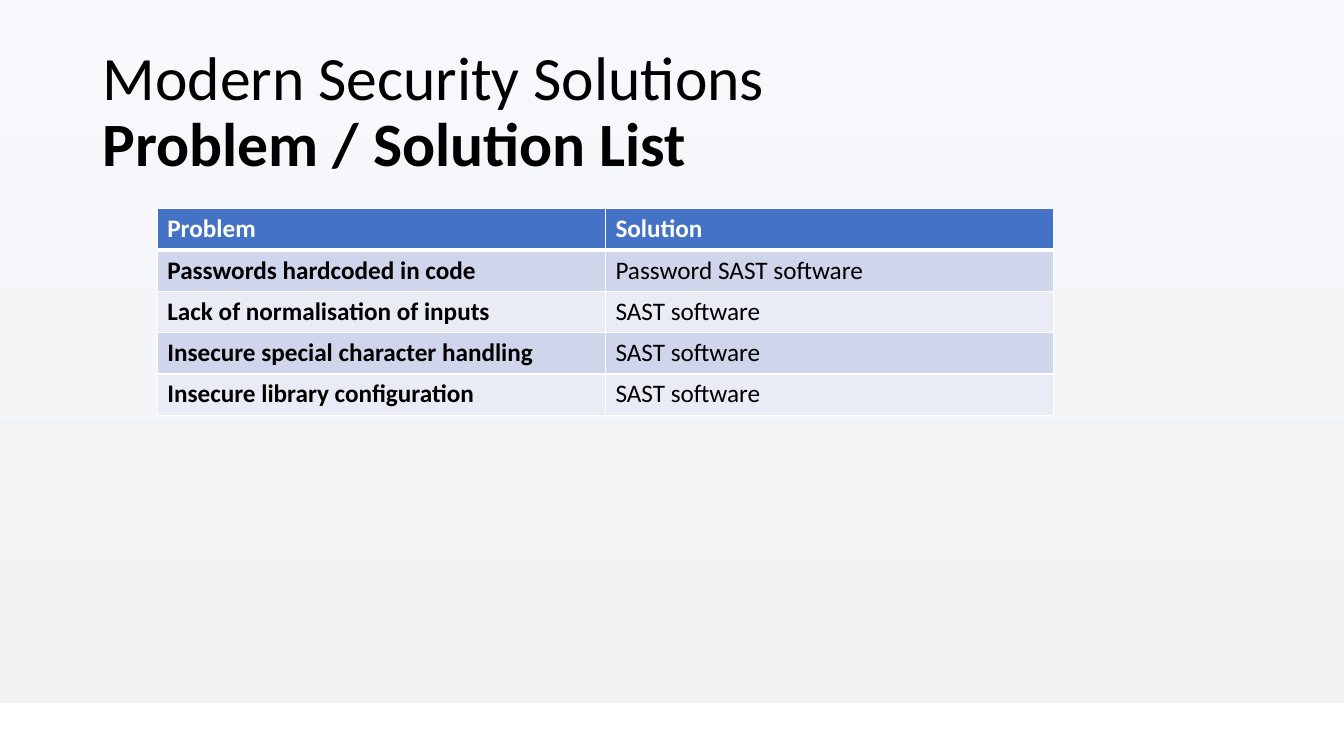
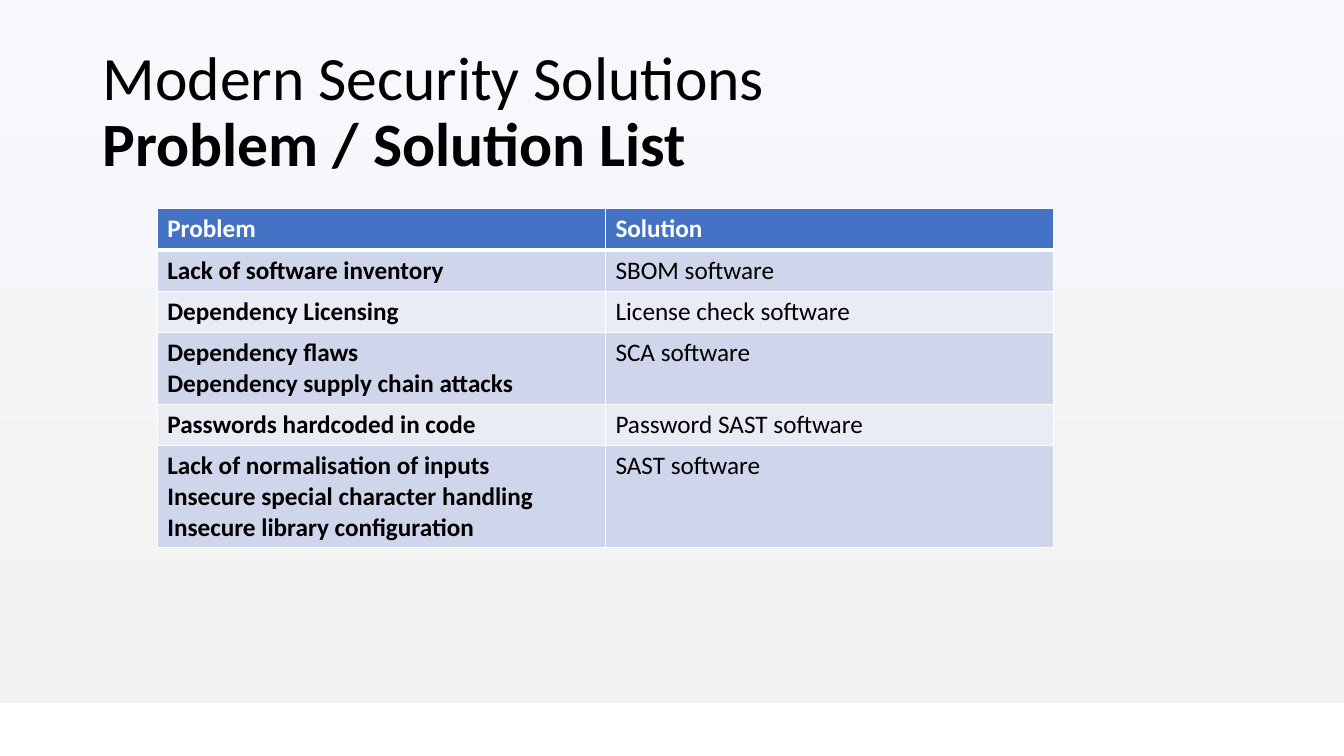
from lxml import etree
from pptx import Presentation
from pptx.dml.color import RGBColor
from pptx.enum.shapes import MSO_SHAPE
from pptx.enum.text import MSO_ANCHOR
from pptx.oxml.ns import qn
from pptx.util import Inches, Pt

# Content
TITLE = ("Modern Security Solutions", "Problem / Solution List")
HEADER = ("Problem", "Solution")
TABLES = [
    [
        ("Passwords hardcoded in code", "Password SAST software"),
        ("Lack of normalisation of inputs", "SAST software"),
        ("Insecure special character handling", "SAST software"),
        ("Insecure library configuration", "SAST software"),
    ],
    [
        ("Lack of software inventory", "SBOM software"),
        ("Dependency Licensing", "License check software"),
        ("Dependency flaws\nDependency supply chain attacks", "SCA software"),
        ("Passwords hardcoded in code", "Password SAST software"),
        ("Lack of normalisation of inputs\nInsecure special character handling\n"
         "Insecure library configuration", "SAST software"),
    ],
]

# Shared look
WHITE = RGBColor(0xFF, 0xFF, 0xFF)
BLACK = RGBColor(0x00, 0x00, 0x00)
BLUE = RGBColor(0x44, 0x72, 0xC4)
BANDS = (RGBColor(0xCF, 0xD5, 0xEA), RGBColor(0xE9, 0xEB, 0xF5))
BACKDROP = (RGBColor(0xF6, 0xF8, 0xFC), RGBColor(0xF2, 0xF2, 0xF2))
FONT = "Calibri"

# Layout in inches
SLIDE_W, SLIDE_H = 13.33, 7.5
BACKDROP_H = 6.97
TITLE_BOX = (0.92, 0.4, 11.5, 1.45)
TABLE_X, TABLE_Y, TABLE_W = 1.56, 2.07, 8.89
ROW_H, EXTRA_LINE_H = 0.41, 0.3
THIN, THICK = 1, 3


def set_font(r, **values):
    color = values.pop("color")
    for name, value in values.items():
        setattr(r.font, name, value)
    r.font.color.rgb = color


def add_backdrop(slide):
    sp = slide.shapes.add_shape(MSO_SHAPE.RECTANGLE, 0, 0,
                                Inches(SLIDE_W), Inches(BACKDROP_H))
    sp.shadow.inherit = False
    sp.line.fill.background()
    sp.fill.gradient()
    sp.fill.gradient_angle = 270
    for position, (stop, color) in enumerate(zip(sp.fill.gradient_stops, BACKDROP)):
        stop.position = position
        stop.color.rgb = color


def add_title(slide):
    tf = slide.shapes.add_textbox(*map(Inches, TITLE_BOX)).text_frame
    tf.word_wrap = True
    tf.vertical_anchor = MSO_ANCHOR.MIDDLE
    p = tf.paragraphs[0]
    p.line_spacing = 0.9
    for i, line in enumerate(TITLE):
        if i:
            p.add_line_break()
        r = p.add_run()
        r.text = line
        set_font(r, name=FONT, size=Pt(44), bold=i > 0, color=BLACK)


def set_borders(cell, **widths):
    tc_pr = cell._tc.get_or_add_tcPr()
    for side, width in widths.items():
        ln = etree.SubElement(tc_pr, qn(f"a:ln{side}"), w=str(Pt(width)))
        fill = etree.SubElement(ln, qn("a:solidFill"))
        etree.SubElement(fill, qn("a:srgbClr"), val=str(WHITE))


def add_table(slide, body):
    rows = [HEADER, *body]
    heights = [ROW_H + EXTRA_LINE_H * max(text.count("\n") for text in row)
               for row in rows]
    table = slide.shapes.add_table(
        len(rows), len(HEADER), Inches(TABLE_X), Inches(TABLE_Y),
        Inches(TABLE_W), Inches(sum(heights))).table
    for i, row in enumerate(rows):
        table.rows[i].height = Inches(heights[i])
        for j, text in enumerate(row):
            cell = table.cell(i, j)
            # The heavy rule sits between the header and the first row
            set_borders(cell, L=THIN, R=THIN, T=THICK if i == 1 else THIN,
                        B=THICK if i == 0 else THIN)
            cell.fill.solid()
            cell.fill.fore_color.rgb = BANDS[(i - 1) % 2] if i else BLUE
            cell.text = text
            for p in cell.text_frame.paragraphs:
                set_font(p.runs[0], name=FONT, size=Pt(18),
                         bold=i == 0 or j == 0, color=BLACK if i else WHITE)


def main():
    prs = Presentation()
    prs.slide_width, prs.slide_height = Inches(SLIDE_W), Inches(SLIDE_H)
    for body in TABLES:
        slide = prs.slides.add_slide(prs.slide_layouts[6])
        add_backdrop(slide)
        add_title(slide)
        add_table(slide, body)
    prs.save("out.pptx")


if __name__ == "__main__":
    main()
